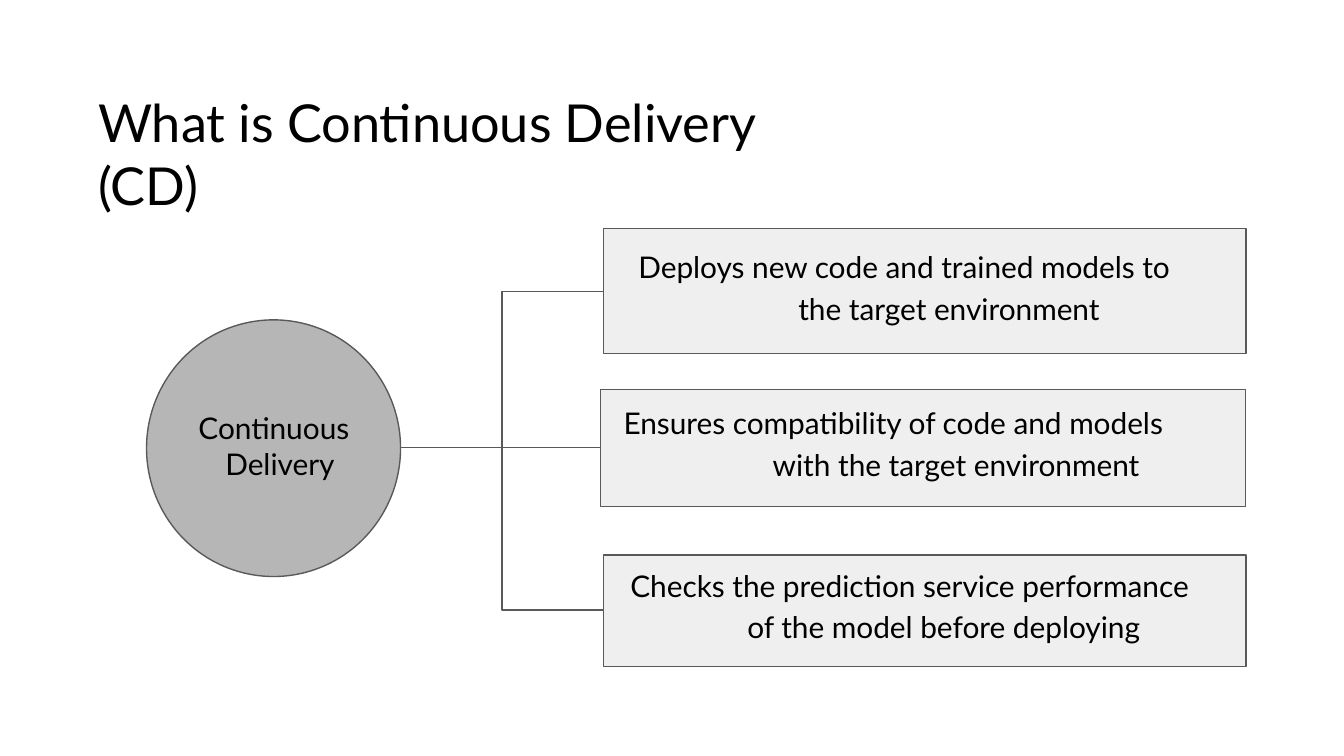
from pptx import Presentation
from pptx.dml.color import RGBColor
from pptx.enum.shapes import MSO_CONNECTOR, MSO_SHAPE
from pptx.enum.text import MSO_ANCHOR, MSO_AUTO_SIZE, PP_ALIGN
from pptx.oxml.ns import qn
from pptx.util import Inches, Pt
from lxml import etree

OVAL, RECTANGLE = MSO_SHAPE.OVAL, MSO_SHAPE.RECTANGLE
STRAIGHT, ELBOW = MSO_CONNECTOR.STRAIGHT, MSO_CONNECTOR.ELBOW
TOP, LEFT, NO_AUTOFIT = MSO_ANCHOR.TOP, PP_ALIGN.LEFT, MSO_AUTO_SIZE.NONE

BLACK = RGBColor(0x00, 0x00, 0x00)
OUTLINE = RGBColor(0x59, 0x59, 0x59)
HUB_FILL = RGBColor(0xB6, 0xB6, 0xB6)
CARD_FILL = RGBColor(0xEF, 0xEF, 0xEF)
FONT = "Lato"


def write(shape, text, size, insets, hanging=0, spacing=1.0):
    """Fill a shape with one left-aligned paragraph; insets are left, top, right."""
    frame = shape.text_frame
    frame.text = text
    frame.word_wrap = True
    frame.auto_size = NO_AUTOFIT
    frame.vertical_anchor = TOP
    frame.margin_left, frame.margin_top, frame.margin_right = map(Inches, insets)
    frame.margin_bottom = 0
    paragraph = frame.paragraphs[0]
    paragraph.alignment = LEFT
    paragraph.line_spacing = spacing
    paragraph.space_before = 0
    properties = paragraph._p.get_or_add_pPr()
    properties.set("marL", str(Inches(hanging)))
    properties.set("indent", str(-Inches(hanging)))
    paragraph.font.name = FONT
    paragraph.font.size = Pt(size)
    paragraph.font.color.rgb = BLACK


def add_node(kind, left, top, width, height, fill):
    node = slide.shapes.add_shape(
        kind, Inches(left), Inches(top), Inches(width), Inches(height))
    node.shadow.inherit = False
    node.fill.solid()
    node.fill.fore_color.rgb = fill
    node.line.color.rgb = OUTLINE
    node.line.width = Pt(0.75)
    return node


# 16:9 slide
prs = Presentation()
prs.slide_width = Inches(10)
prs.slide_height = Inches(10 * 9 / 16)
slide = prs.slides.add_slide(prs.slide_layouts[5])

# Title
title = slide.shapes.title
title.left, title.top = Inches(0.72), Inches(0.66)
title.width, title.height = Inches(5.7), Inches(0.95)
write(title, "What is Continuous Delivery (CD)", 28, (0.01, 0.01, 0))

# Hub circle
hub = add_node(OVAL, 1.09, 2.38, 1.89, 1.91, HUB_FILL)
write(hub, "Continuous Delivery", 16, (0.11, 0.38, 0.05), hanging=0.2, spacing=1.02)
hub_right, hub_middle = 2.98, 3.33

# Cards: text, left, top, height, text left, text inset from top, hanging indent
cards = [
    ("Deploys new code and trained models to the target environment",
     4.49, 1.7, 0.93, 4.75, 0.11, 1.19),
    ("Ensures compatibility of code and models with the target environment",
     4.47, 2.9, 0.87, 4.64, 0.07, 1.11),
    ("Checks the prediction service performance of the model before deploying",
     4.49, 4.13, 0.83, 4.69, 0.05, 0.87),
]
card_right = 9.27
for text, left, top, height, text_left, inset_top, hanging in cards:
    card = add_node(RECTANGLE, left, top, card_right - left, height, CARD_FILL)
    write(card, text, 16, (text_left - left, inset_top, 0.2), hanging, 1.16)

    # Branch from the hub to the card
    middle = round(top + height / 2, 2)
    level = abs(middle - hub_middle) < 0.02
    branch = slide.shapes.add_connector(
        STRAIGHT if level else ELBOW,
        Inches(hub_right), Inches(hub_middle),
        Inches(left), Inches(hub_middle if level else middle))
    branch.line.color.rgb = OUTLINE
    branch.line.width = Pt(0.75)
    etree.SubElement(branch._element.spPr, qn("a:effectLst"))

prs.save("out.pptx")
